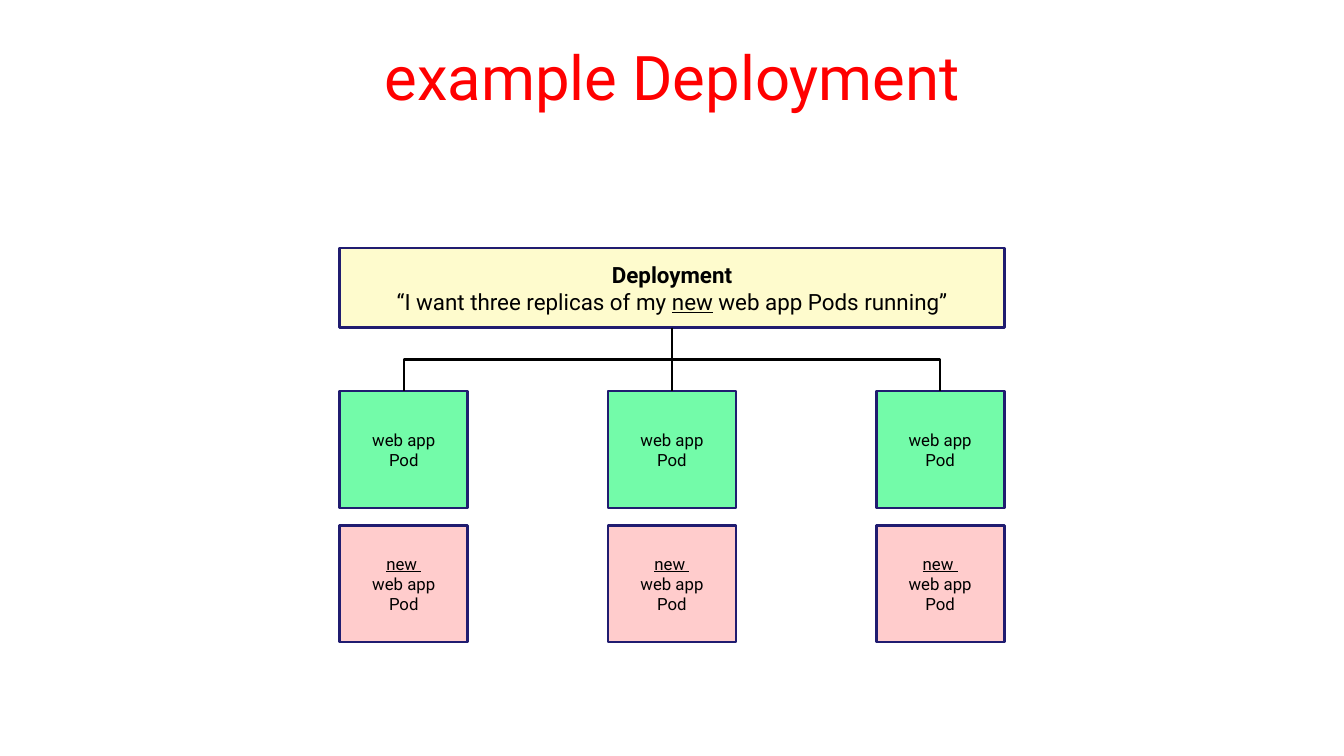
from lxml import etree
from pptx import Presentation
from pptx.dml.color import RGBColor
from pptx.enum.shapes import MSO_CONNECTOR as CONNECTOR, MSO_SHAPE as SHAPE
from pptx.enum.text import MSO_ANCHOR as ANCHOR, PP_ALIGN as ALIGN
from pptx.oxml.ns import qn
from pptx.util import Emu, Pt

EMU_PER_PX = 9144
SLIDE_W, SLIDE_H = 1333, 750
FONT = "Roboto"
BLACK, RED, NAVY = "000000", "FF0000", "201C70"
YELLOW, GREEN, PINK = "FEFBCD", "73FBA9", "FFCCCC"

LEFT = 337
POD_W, POD_H, POD_STEP, POD_COUNT = 127, 116, 266, 3
DEPLOYMENT_TOP, DEPLOYMENT_H = 246, 79
RUNNING_TOP, NEW_TOP = 388, 521

# Each paragraph is a list of lines; each line is a list of (text, style) runs.
DEPLOYMENT = [
    [[("Deployment", "bold")]],
    [[("“I want three replicas of my ", ""), ("new", "underline"),
      (" web app Pods running”", "")]],
]
POD_LINES = [[("web app", "")], [("Pod", "")]]
RUNNING_POD = [POD_LINES]
NEW_POD = [[[("new ", "underline")]] + POD_LINES]


def px(length):
    return Emu(round(length * EMU_PER_PX))


def color(value):
    return RGBColor.from_string(value)


def write(frame, paragraphs, size, ink):
    """Fill a text frame with centred paragraphs, run by run."""
    frame.word_wrap = True
    frame.vertical_anchor = ANCHOR.MIDDLE
    for index, lines in enumerate(paragraphs):
        paragraph = frame.paragraphs[0] if index == 0 else frame.add_paragraph()
        paragraph.alignment = ALIGN.CENTER
        for number, line in enumerate(lines):
            if number:
                paragraph.add_line_break()
            for text, style in line:
                run = paragraph.add_run()
                run.text = text
                run.font.name = FONT
                run.font.size = Pt(size)
                run.font.color.rgb = color(ink)
                run.font.bold = style == "bold"
                run.font.underline = style == "underline"


def set_title(slide, text):
    title = slide.shapes.title
    title.left, title.top = px(67), px(13)
    title.width, title.height = px(1200), px(125)
    write(title.text_frame, [[[(text, "")]]], 44, RED)


def add_box(slide, left, top, width, height, fill, paragraphs, size):
    box = slide.shapes.add_shape(
        SHAPE.RECTANGLE, px(left), px(top), px(width), px(height))
    box.shadow.inherit = False
    box.fill.solid()
    box.fill.fore_color.rgb = color(fill)
    box.line.color.rgb = color(NAVY)
    box.line.width = Pt(2)
    write(box.text_frame, paragraphs, size, BLACK)


def add_branch(slide, from_x, from_y, to_x, to_y):
    """Draw an elbow that leaves downwards, as a sideways elbow turned upright."""
    side = -1 if to_x < from_x else 1
    center_x, center_y = (from_x + to_x) / 2, (from_y + to_y) / 2
    half_drop, half_spread = (to_y - from_y) / 2, abs(to_x - from_x) / 2
    branch = slide.shapes.add_connector(
        CONNECTOR.ELBOW,
        px(center_x + side * half_drop), px(center_y - half_spread),
        px(center_x - side * half_drop), px(center_y + half_spread))
    branch.line.color.rgb = color(BLACK)
    branch.line.width = Pt(1.75)
    properties = branch._element.spPr
    properties.find(qn("a:xfrm")).set("rot", str((180 + 90 * side) * 60000))
    etree.SubElement(properties, qn("a:effectLst"))


def main():
    deck = Presentation()
    deck.slide_width, deck.slide_height = px(SLIDE_W), px(SLIDE_H)
    slide = deck.slides.add_slide(deck.slide_layouts[5])
    set_title(slide, "example Deployment")

    deployment_w = POD_STEP * (POD_COUNT - 1) + POD_W
    add_box(slide, LEFT, DEPLOYMENT_TOP, deployment_w, DEPLOYMENT_H,
            YELLOW, DEPLOYMENT, 16)
    for column in range(POD_COUNT):
        pod_left = LEFT + column * POD_STEP
        add_box(slide, pod_left, RUNNING_TOP, POD_W, POD_H, GREEN, RUNNING_POD, 12)
        add_box(slide, pod_left, NEW_TOP, POD_W, POD_H, PINK, NEW_POD, 12)
        add_branch(slide, LEFT + deployment_w / 2, DEPLOYMENT_TOP + DEPLOYMENT_H,
                   pod_left + POD_W / 2, RUNNING_TOP)
    deck.save("out.pptx")


if __name__ == "__main__":
    main()
